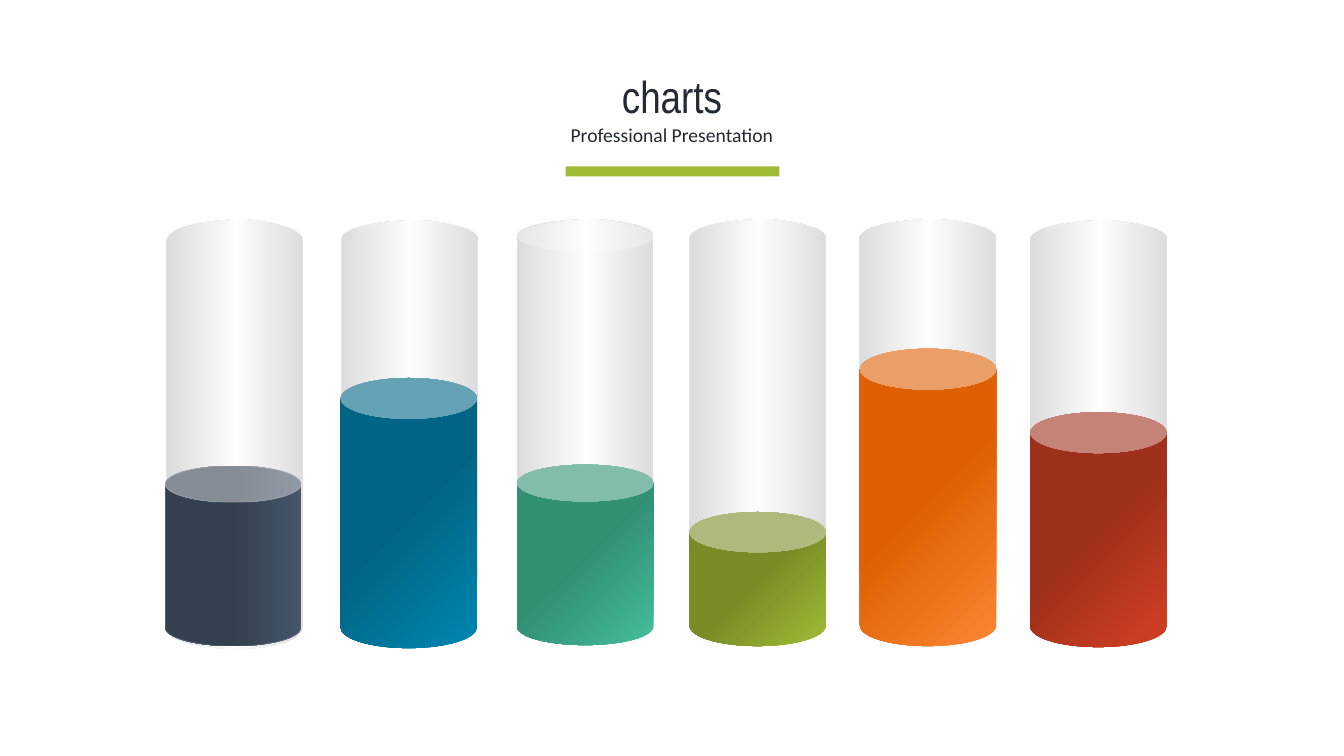
from lxml import etree
from pptx import Presentation
from pptx import util as u
from pptx.dml.color import RGBColor
from pptx.enum import shapes, text
from pptx.oxml.ns import qn

PX = 9144  # 100 px to the inch
COLORS = {
    "ink": "222A35", "lime": "A0BC34", "white": "FFFFFF",
    "glass edge": "BABABA", "can edge": "F8F8F8",
}
CAN_WIDTH, GLASS_WIDTH = 135, 136

# Glass left, top, height; can left, top, height, rim, light, dark, gradient angle
COLUMNS = [
    (165, 218, 425, 164, 462, 179, 0.27, "46556A", "34404F", 0),
    (339, 219, 373, 338, 375, 268, 0.3, "0087B1", "006585", 45),
    (513, 218, 321, 513, 461, 179, 0.27, "45BE9B", "329075", 45),
    (684, 218, 373, 684, 508, 133, 0.3, "A0BC34", "788D27", 45),
    (853, 218, 373, 853, 346, 295, 0.3, "FB8734", "DF6004", 45),
    (1022, 219, 373, 1022, 409, 233, 0.3, "D44024", "9F301B", 45),
]
LIDDED_GLASS = 2

# Glass outline in fractions of its width and height: a start, then Bezier curves
GLASS_OUTLINE = [
    (0.99, 0.05),
    (0.99, 0.05), (0.99, 0.5), (0.99, 0.95),
    (0.96, 0.99), (0.68, 1), (0.52, 1),
    (0.35, 1), (0.02, 0.99), (0, 0.95),
    (0, 0.5), (0, 0.05), (0, 0.05),
    (0.02, 0.01), (0.38, 0), (0.54, 0),
    (0.71, 0), (1, 0.02), (0.99, 0.05),
]


def set_alpha(color, percent):
    etree.SubElement(color, qn("a:alpha")).set("val", str(percent * 1000))


def set_gradient(shape, colors, angle, alpha=100):
    """Fill with three stops, at the start, middle and end."""
    shape.shadow.inherit = False
    shape.fill.gradient()
    shape.fill.gradient_angle = angle
    stops = shape.element.spPr.find(".//" + qn("a:gsLst"))
    stops.clear()
    for position, value in zip((0, 50000, 100000), colors):
        stop = etree.SubElement(stops, qn("a:gs"))
        stop.set("pos", str(position))
        color = etree.SubElement(stop, qn("a:srgbClr"))
        color.set("val", value)
        if alpha < 100:
            set_alpha(color, alpha)


deck = Presentation()
deck.slide_width, deck.slide_height = 1333 * PX, 750 * PX
page = deck.slides.add_slide(deck.slide_layouts[5])

# Columns: a glass tube with a coloured can inside
for index, (glass_left, glass_top, glass_height, left, top, height,
            rim, light, dark, angle) in enumerate(COLUMNS):
    outline = [(round((glass_left + x * GLASS_WIDTH) * PX),
                round((glass_top + y * glass_height) * PX)) for x, y in GLASS_OUTLINE]
    builder = page.shapes.build_freeform(*outline[0])
    builder.add_line_segments(outline[1:], close=True)
    glass = builder.convert_to_shape()
    # Turn each three line points into one curve
    segments = glass.element.spPr.findall(".//" + qn("a:lnTo"))
    for first in range(0, len(GLASS_OUTLINE) - 1, 3):
        curve = etree.Element(qn("a:cubicBezTo"))
        segments[first].addprevious(curve)
        for segment in segments[first:first + 3]:
            curve.append(segment[0])
            segment.getparent().remove(segment)
    set_gradient(glass, (COLORS["glass edge"], COLORS["white"], COLORS["glass edge"]), 0, 50)
    glass.line.fill.background()

    if index == LIDDED_GLASS:
        for lid_top, alpha in ((219, 30), (508, 10)):
            lid = page.shapes.add_shape(shapes.MSO_SHAPE.OVAL, glass_left * PX, lid_top * PX,
                                        CAN_WIDTH * PX, 31 * PX)
            lid.shadow.inherit = False
            lid.fill.solid()
            lid.fill.fore_color.rgb = RGBColor.from_string(COLORS["white"])
            set_alpha(lid.element.spPr.find(".//" + qn("a:srgbClr")), alpha)
            lid.line.fill.background()

    can = page.shapes.add_shape(shapes.MSO_SHAPE.CAN, left * PX, top * PX,
                                CAN_WIDTH * PX, height * PX)
    can.adjustments[0] = rim
    can.element.spPr.xfrm.set("flipH", "1")
    set_gradient(can, (light, dark, dark), angle)
    if index == 0:
        can.line.width = u.Pt(0.75)
        can.line.color.rgb = RGBColor.from_string(COLORS["can edge"])
        set_alpha(can.element.spPr.find(qn("a:ln")).find(".//" + qn("a:srgbClr")), 15)
    else:
        can.line.fill.background()

# Title and subtitle
title = page.shapes.title
title.left, title.top, title.width, title.height = 0, 63 * PX, 1333 * PX, 64 * PX
subtitle = page.shapes.add_textbox(68 * PX, 117 * PX, 1197 * PX, 34 * PX)
for box, words, size, font in ((title, "charts", 32, "Arial Narrow"),
                               (subtitle, "Professional Presentation", 14, "Calibri")):
    frame = box.text_frame
    frame.word_wrap = True
    frame.auto_size = text.MSO_AUTO_SIZE.NONE
    frame.vertical_anchor = text.MSO_ANCHOR.TOP
    para = frame.paragraphs[0]
    para.text = words
    para.alignment = text.PP_ALIGN.CENTER
    para.font.size = u.Pt(size)
    para.font.name = font
    para.font.color.rgb = RGBColor.from_string(COLORS["ink"])

# Bar under the heading
bar = page.shapes.add_shape(shapes.MSO_SHAPE.RECTANGLE, 561 * PX, 165 * PX, 212 * PX, 10 * PX)
bar.shadow.inherit = False
bar.fill.solid()
bar.fill.fore_color.rgb = RGBColor.from_string(COLORS["lime"])
bar.line.fill.background()

deck.save("out.pptx")
